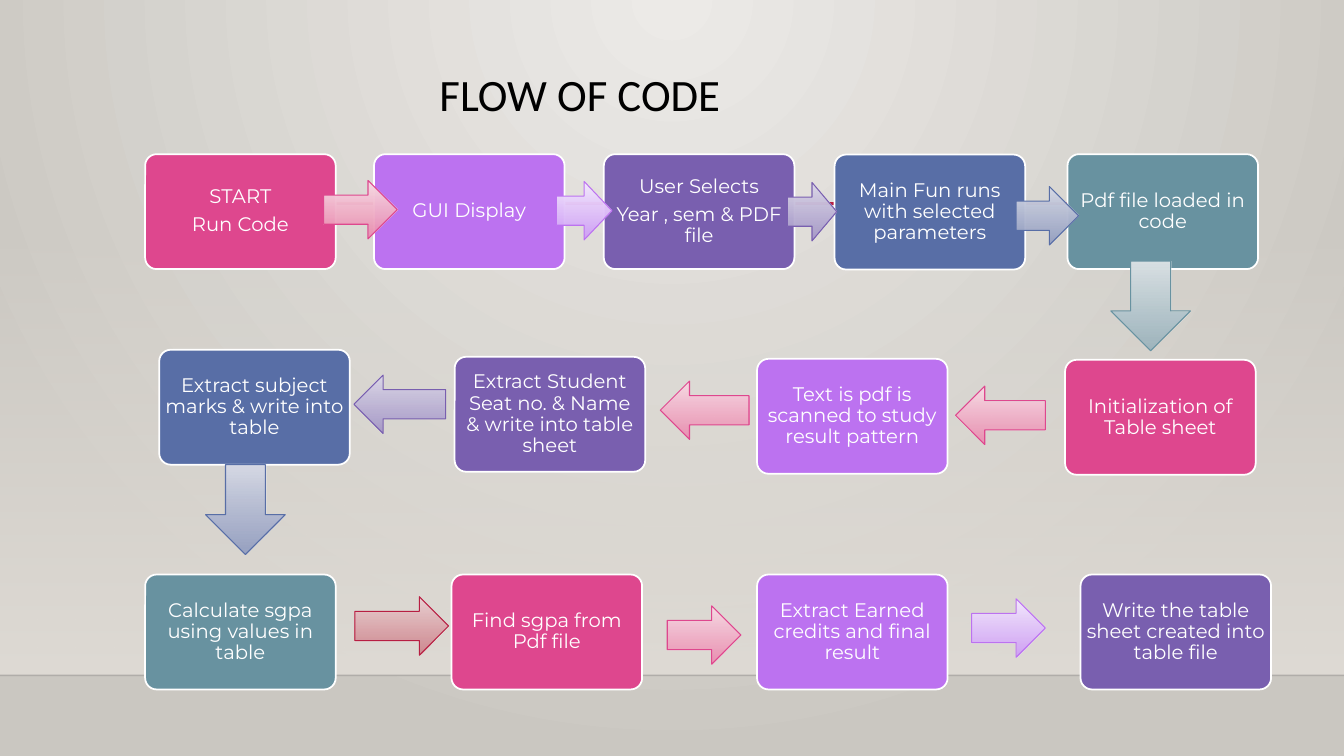
from dataclasses import dataclass

import pptx
import pptx.dml.color
import pptx.enum.shapes
import pptx.enum.text
import pptx.oxml
import pptx.oxml.ns
import pptx.util

SHAPES = pptx.enum.shapes.MSO_SHAPE
SLIDE_WIDTH = pptx.util.Inches(13.333)
SLIDE_HEIGHT = pptx.util.Inches(7.5)
BOX_SIZE = (14.18, 15.2)
SIDE_ARROW_HEIGHT = 7.73
DOWN_ARROW_SIZE = (5.93, 11.87)

PINK, PURPLE, VIOLET = "DE478E", "BC72F0", "795FAF"
BLUE, TEAL, RED = "586EA6", "6892A0", "B71E42"
WHITE, BLACK = "FFFFFF", "000000"
ARROW_TINTS = {
    PINK: ("F7DCE5", "EA8AAE"),
    PURPLE: ("F4EAFD", "CE9CF7"),
    VIOLET: ("DCD8E8", "A395C6"),
    BLUE: ("D6D9E5", "929DC0"),
    TEAL: ("D9E1E4", "9AB2BC"),
    RED: ("EAD1D3", "CD828A"),
}


@dataclass(frozen=True)
class Step:
    left: float
    top: float
    color: str
    lines: tuple[str, ...]


@dataclass(frozen=True)
class Arrow:
    kind: SHAPES
    left: float
    top: float
    color: str
    width: float
    height: float = SIDE_ARROW_HEIGHT


STEPS = [
    Step(10.8, 20.4, PINK, ("START", "Run Code")),
    Step(27.83, 20.4, PURPLE, ("GUI Display",)),
    Step(44.93, 20.4, VIOLET, ("User Selects", "Year , sem & PDF file")),
    Step(62.1, 20.45, BLUE, ("Main Fun runs with selected parameters",)),
    Step(79.43, 20.4, TEAL, ("Pdf file loaded in code",)),
    Step(79.25, 47.6, PINK, ("Initialization of Table sheet",)),
    Step(56.33, 47.47, PURPLE, ("Text is pdf is scanned to study result pattern",)),
    Step(33.83, 47.2, VIOLET, ("Extract Student Seat no. & Name & write into table sheet",)),
    Step(11.85, 46.27, BLUE, ("Extract subject marks & write into table",)),
    Step(10.8, 76, TEAL, ("Calculate sgpa using values in table",)),
    Step(33.6, 76, PINK, ("Find sgpa from Pdf file",)),
    Step(56.33, 76, PURPLE, ("Extract Earned credits and final result",)),
    Step(80.4, 76, VIOLET, ("Write the table sheet created into table file",)),
]

ARROWS = [
    Arrow(SHAPES.RIGHT_ARROW, 24.08, 23.87, PINK, 5.48),
    Arrow(SHAPES.RIGHT_ARROW, 41.4, 24, PURPLE, 4.13),
    Arrow(SHAPES.RIGHT_ARROW, 58.58, 24.13, VIOLET, 3.68),
    Arrow(SHAPES.RIGHT_ARROW, 75.6, 24.67, BLUE, 4.65),
    Arrow(SHAPES.RIGHT_ARROW, 26.4, 78.93, RED, 6.98),
    Arrow(SHAPES.RIGHT_ARROW, 49.65, 80.13, PINK, 5.48),
    Arrow(SHAPES.RIGHT_ARROW, 72.3, 79.2, PURPLE, 5.48),
    Arrow(SHAPES.DOWN_ARROW, 82.65, 34.53, TEAL, *DOWN_ARROW_SIZE),
    Arrow(SHAPES.DOWN_ARROW, 15.3, 61.47, BLUE, *DOWN_ARROW_SIZE),
    Arrow(SHAPES.LEFT_ARROW, 71.1, 51.07, PINK, 6.68),
    Arrow(SHAPES.LEFT_ARROW, 49.13, 50.4, PINK, 6.6),
    Arrow(SHAPES.LEFT_ARROW, 26.33, 49.6, VIOLET, 6.83),
]


def color(value: str) -> pptx.dml.color.RGBColor:
    return pptx.dml.color.RGBColor.from_string(value)


def across(share: float) -> int:
    return round(SLIDE_WIDTH * share / 100)


def down(share: float) -> int:
    return round(SLIDE_HEIGHT * share / 100)


def set_alpha(color_element, percent: int) -> None:
    alpha = pptx.oxml.parse_xml(f'<a:alpha {pptx.oxml.ns.nsdecls("a")} val="{percent * 1000}"/>')
    color_element.append(alpha)


def set_gradient(fill, element, tints: tuple[str, str], alphas: tuple[int, int] = (100, 100)):
    fill.gradient()
    fill.gradient_angle = 270
    for stop, tint in zip(fill.gradient_stops, tints):
        stop.color.rgb = color(tint)
    gradient = next(element.iter(pptx.oxml.ns.qn("a:gradFill")))
    for tint_element, alpha in zip(gradient.iter(pptx.oxml.ns.qn("a:srgbClr")), alphas):
        if alpha < 100:
            set_alpha(tint_element, alpha)
    return gradient


def add_shape(slide, kind: SHAPES, left: float, top: float, width: float, height: float):
    shape = slide.shapes.add_shape(kind, across(left), down(top), across(width), down(height))
    shape.shadow.inherit = False
    return shape


def add_run(paragraph, text: str, font_name: str, size: float, text_color: str) -> None:
    run = paragraph.add_run()
    run.text = text
    run.font.name = font_name
    run.font.size = pptx.util.Pt(size)
    run.font.color.rgb = color(text_color)


def add_line(slide, left: float, right: float, top: float, line_color: str, width: float, alpha: int = 100) -> None:
    connector = slide.shapes.add_connector(
        pptx.enum.shapes.MSO_CONNECTOR.STRAIGHT, across(left), down(top), across(right), down(top))
    connector.line.color.rgb = color(line_color)
    connector.line.width = pptx.util.Pt(width)
    properties = connector._element.spPr
    if alpha < 100:
        set_alpha(next(properties.iter(pptx.oxml.ns.qn("a:srgbClr"))), alpha)
    properties.append(pptx.oxml.parse_xml(f'<a:effectLst {pptx.oxml.ns.nsdecls("a")}/>'))


def add_backdrop(slide) -> None:
    gradient = set_gradient(slide.background.fill, slide.element, ("ECEAE7", "CAC7C1"))
    gradient.remove(gradient.find(pptx.oxml.ns.qn("a:lin")))
    gradient.append(pptx.oxml.parse_xml(
        f'<a:path {pptx.oxml.ns.nsdecls("a")} path="circle">'
        '<a:fillToRect l="43000" r="43000" b="100000"/></a:path>'))
    wall = add_shape(slide, SHAPES.RECTANGLE, 0, 29.47, 100, 59.87)
    set_gradient(wall.fill, wall._element, ("DFDBD5", "DFDBD5"), (0, 100))
    wall.line.fill.background()
    add_line(slide, 0, 100, 89.33, "000001", 1, 20)
    add_line(slide, 11.93, 90.75, 26.93, RED, 2.5)


def add_title(slide) -> None:
    title = slide.shapes.title
    title.left, title.top = across(31.95), down(8.93)
    title.width, title.height = across(55.2), down(11.47)
    frame = title.text_frame
    frame.auto_size = pptx.enum.text.MSO_AUTO_SIZE.NONE
    frame.vertical_anchor = pptx.enum.text.MSO_ANCHOR.TOP
    paragraph = frame.paragraphs[0]
    paragraph.alignment = pptx.enum.text.PP_ALIGN.LEFT
    paragraph.line_spacing = 0.9
    add_run(paragraph, "FLOW OF CODE", "Calibri", 32, BLACK)


def add_step(slide, step: Step) -> None:
    box = add_shape(slide, SHAPES.ROUNDED_RECTANGLE, step.left, step.top, *BOX_SIZE)
    box.adjustments[0] = 0.1
    box.fill.solid()
    box.fill.fore_color.rgb = color(step.color)
    box.line.color.rgb = color(WHITE)
    box.line.width = pptx.util.Pt(1.25)
    frame = box.text_frame
    frame.word_wrap = True
    frame.vertical_anchor = pptx.enum.text.MSO_ANCHOR.MIDDLE
    frame.margin_left = frame.margin_right = pptx.util.Inches(0.02)
    frame.margin_top = frame.margin_bottom = pptx.util.Inches(0.02)
    for index, line in enumerate(step.lines):
        paragraph = frame.add_paragraph() if index else frame.paragraphs[0]
        paragraph.alignment = pptx.enum.text.PP_ALIGN.CENTER
        paragraph.line_spacing = 0.9
        paragraph.space_after = pptx.util.Pt(4.9)
        add_run(paragraph, line, "Montserrat", 14, WHITE)


def add_arrow(slide, arrow: Arrow) -> None:
    shape = add_shape(slide, arrow.kind, arrow.left, arrow.top, arrow.width, arrow.height)
    set_gradient(shape.fill, shape._element, ARROW_TINTS[arrow.color], (100, 92))
    shape.line.color.rgb = color(arrow.color)
    shape.line.width = pptx.util.Pt(0.75)


def main() -> None:
    presentation = pptx.Presentation()
    presentation.slide_width = SLIDE_WIDTH
    presentation.slide_height = SLIDE_HEIGHT
    slide = presentation.slides.add_slide(presentation.slide_layouts[5])
    add_backdrop(slide)
    add_title(slide)
    for step in STEPS:
        add_step(slide, step)
    for arrow in ARROWS:
        add_arrow(slide, arrow)
    presentation.save("out.pptx")


if __name__ == "__main__":
    main()
